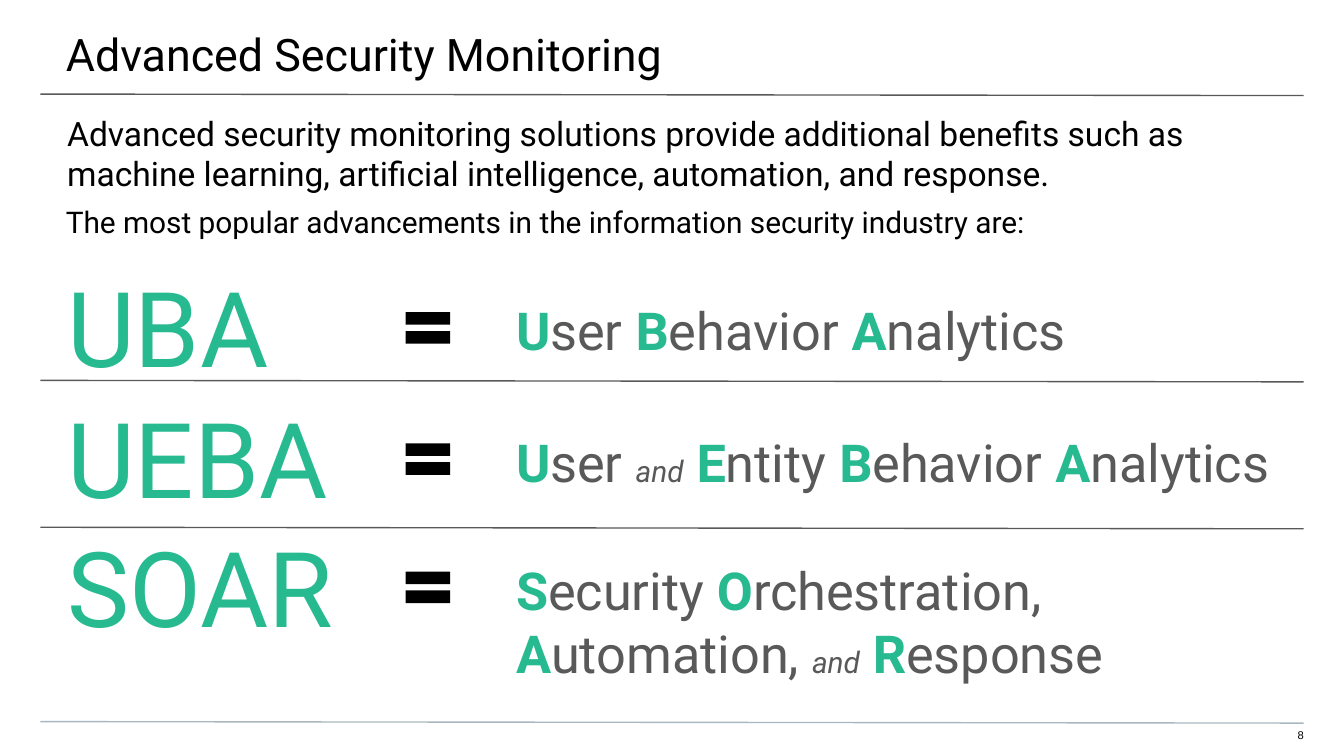
from lxml import etree
from pptx import Presentation
from pptx import util as u
from pptx.dml.color import RGBColor
from pptx.enum import shapes, text
from pptx.oxml.ns import qn

GREEN, GREY, BLACK, PALE = "27BA90", "595959", "000000", "A9B7C0"


def rgb(code):
    return RGBColor.from_string(code)


class SlideBuilder:
    """Holds the style and the current slide; lengths are in points."""

    font = "Roboto"

    def __init__(self, prs):
        self.s = prs.slides.add_slide(prs.slide_layouts[5])

    def run(self, p, words, size, color, bold=False, italic=False, font=None):
        r = p.add_run()
        r.text = words
        r.font.name = font or self.font
        r.font.size = u.Pt(size)
        r.font.bold, r.font.italic = bold, italic
        r.font.color.rgb = rgb(color)

    def frame(self, sp, box, insets):
        """Place a text shape and return its first paragraph."""
        sp.left, sp.top, sp.width, sp.height = (u.Pt(v) for v in box)
        tf = sp.text_frame
        tf.word_wrap = True
        tf.auto_size = text.MSO_AUTO_SIZE.NONE
        tf.vertical_anchor = text.MSO_ANCHOR.TOP
        (tf.margin_left, tf.margin_top,
         tf.margin_right, tf.margin_bottom) = (u.Pt(v) for v in insets)
        p = tf.paragraphs[0]
        p.alignment = text.PP_ALIGN.LEFT
        return p

    def title(self, words, box, insets, size):
        p = self.frame(self.s.shapes.title, box, insets)
        self.run(p, words, size, BLACK)

    def textbox(self, box, insets=(36, 0, 0, 0)):
        return self.frame(self.s.shapes.add_textbox(0, 0, 0, 0), box, insets)

    def label(self, words, box, size, color=BLACK, insets=(36, 0, 0, 0)):
        self.run(self.textbox(box, insets), words, size, color)

    def expansion(self, phrase, box):
        """Write a phrase with green initials and a small italic 'and'."""
        p = self.textbox(box, (36, 7.2, 0, 0))
        for i, word in enumerate(phrase.split()):
            if i:
                self.run(p, " ", 28, GREY)
            if word == "and":
                self.run(p, word, 16, GREY, italic=True)
            else:
                self.run(p, word[0], 28, GREEN, bold=True)
                self.run(p, word[1:], 28, GREY)

    def equals(self, x, y, w, h):
        sp = self.s.shapes.add_shape(shapes.MSO_SHAPE.MATH_EQUAL,
                                     u.Pt(x), u.Pt(y), u.Pt(w), u.Pt(h))
        sp.shadow.inherit = False
        sp.adjustments[0], sp.adjustments[1] = 0.235, 0.118
        sp.fill.solid()
        sp.fill.fore_color.rgb = rgb(BLACK)
        sp.line.fill.background()

    def rule(self, y, color=GREY):
        line = self.s.shapes.add_connector(
            shapes.MSO_CONNECTOR.STRAIGHT,
            u.Pt(21.6), u.Pt(y), u.Pt(698.4), u.Pt(y + 0.8))
        line.line.color.rgb = rgb(color)
        line.line.width = u.Pt(0.75)
        etree.SubElement(line._element.spPr, qn("a:effectLst"))


def main():
    prs = Presentation()
    prs.slide_width, prs.slide_height = u.Pt(720), u.Pt(405)
    b = SlideBuilder(prs)

    for y in (50.4, 203.8, 282.5):
        b.rule(y)
    b.rule(386.6, PALE)

    b.title("Advanced Security Monitoring", (-0.7, 0, 722, 41.8),
            (36, 14.4, 21.6, 7.2), 24)
    b.label("Advanced security monitoring solutions provide additional "
            "benefits such as machine learning, artificial intelligence, "
            "automation, and response.",
            (0, 53.3, 720, 50), 18, insets=(36, 7.2, 36, 0))
    b.label("The most popular advancements in the information security "
            "industry are:", (-0.7, 109, 720, 24.5), 16)

    terms = [
        (141, 46, "UBA", "User Behavior Analytics"),
        (211.3, 46, "UEBA", "User and Entity Behavior Analytics"),
        (280, 76, "SOAR", "Security Orchestration, Automation, and Response"),
    ]
    for y, h, acronym, phrase in terms:
        b.label(acronym, (0, y, 212, 54), 56, GREEN)
        b.equals(213, y + 20.3, 32.4, 28.8)
        b.expansion(phrase, (240.5, y + 11.8, 463, h))

    p = b.textbox((677.5, 390.2, 21, 8.6), (0, 0, 0, 0))
    p.alignment = text.PP_ALIGN.RIGHT
    b.run(p, "8", 6, BLACK, font="Arial")

    prs.save("out.pptx")


if __name__ == "__main__":
    main()
